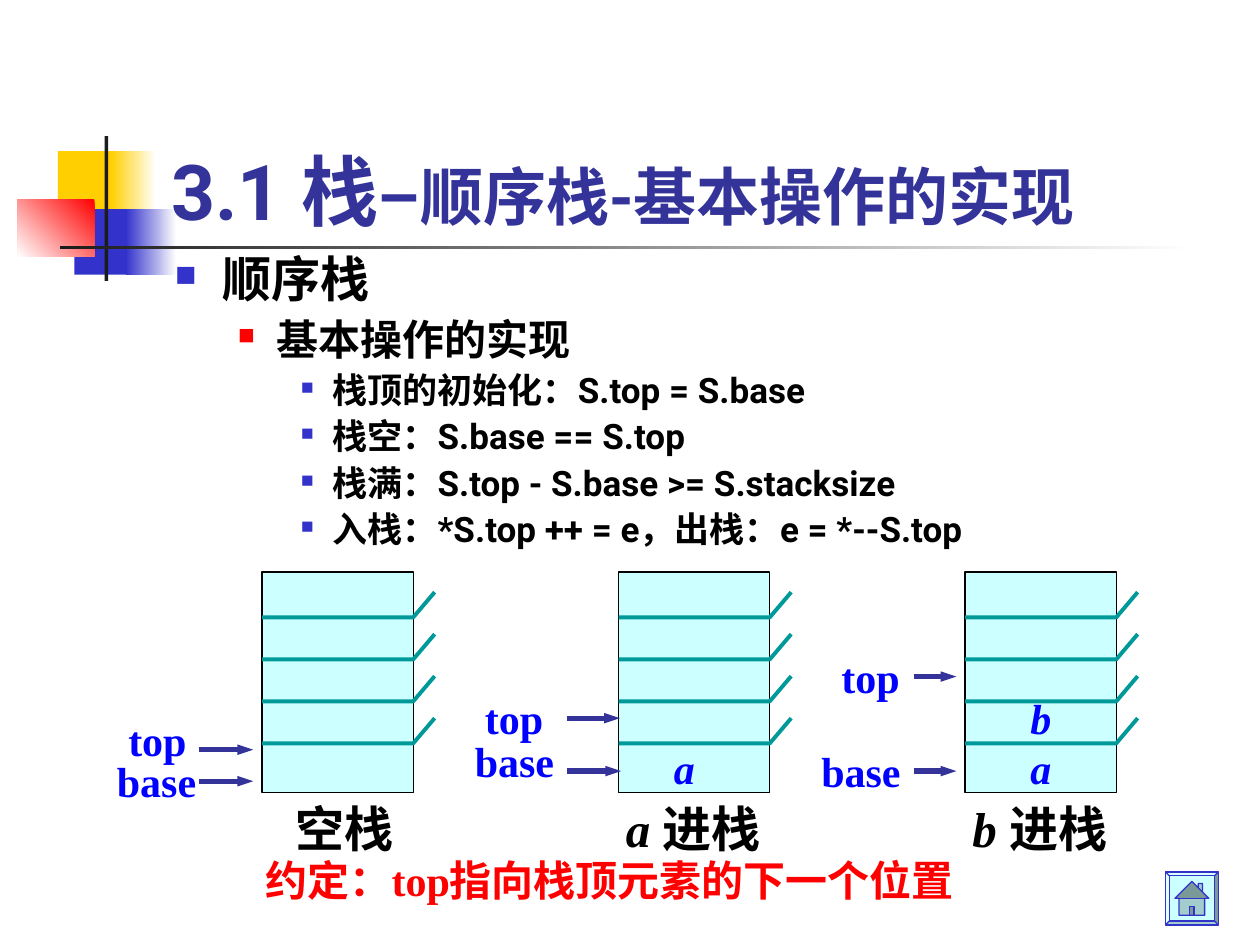
from collections import namedtuple

from lxml import etree
from pptx import Presentation
from pptx.dml.color import RGBColor
from pptx.enum import shapes, text
from pptx.oxml import ns
from pptx.util import Inches, Pt

SANS, SERIF = "Roboto", "Times New Roman"
BLACK, RED, NAVY, BLUE = "000000", "FF0000", "333399", "0000FF"
YELLOW, INDIGO, DARK, WHITE = "FFCF01", "3333CC", "1C1C1C", "FFFFFF"
CELL_FILL, CELL_LINE = "CCFFFF", "009999"

STACK_TOP, STACK_WIDTH, STACK_HEIGHT = 4.54, 1.2, 1.75
DIVIDER_TOP, DIVIDER_STEP, DIVIDERS = 4.9, 1 / 3, 4
TICK_WIDTH, TICK_HEIGHT = 0.17, 0.2

Run = namedtuple("Run", "words size color font italic", defaults=(BLACK, SERIF, False))
Block = namedtuple("Block", "left top width height color fade_from angle", defaults=("", 180))
Pointer = namedtuple("Pointer", "name left top arrow_start arrow_end arrow_y")
Element = namedtuple("Element", "name left top")
Stack = namedtuple("Stack", "left caption_left caption_width caption pointers elements")
Bullet = namedtuple("Bullet", "words level")
BulletStyle = namedtuple("BulletStyle", "size indent hanging before color percent")

BLOCKS = [
    Block(0.46, 1.2, 0.48, 0.52, YELLOW),
    Block(0.88, 1.2, 0.36, 0.52, YELLOW, WHITE),
    Block(0.59, 1.66, 0.46, 0.52, INDIGO),
    Block(1, 1.66, 0.4, 0.52, INDIGO, WHITE),
    Block(0.14, 1.58, 0.61, 0.46, WHITE, RED, 135),
    Block(0.83, 1.08, 0.03, 1.15, DARK),
    Block(0.48, 1.95, 9, 0.03, DARK, WHITE),
]
STACKS = [
    Stack(2.08, 2.25, 1, [Run("空栈", 28)],
          [Pointer("top", 0.92, 5.62, 1.58, 2.01, 5.95),
           Pointer("base", 0.83, 5.95, 1.58, 2.01, 6.2)], []),
    Stack(4.91, 4.87, 1.36, [Run("a ", 28, italic=True), Run("进栈", 28)],
          [Pointer("top", 3.75, 5.45, 4.5, 4.92, 5.7),
           Pointer("base", 3.67, 5.79, 4.5, 4.93, 6.12)],
          [Element("a", 5.25, 5.84)]),
    Stack(7.66, 7.62, 1.36, [Run("b ", 28, italic=True), Run("进栈", 28)],
          [Pointer("top", 6.58, 5.12, 7.25, 7.59, 5.37),
           Pointer("base", 6.42, 5.87, 7.25, 7.59, 6.12)],
          [Element("a", 8.08, 5.84), Element("b", 8.08, 5.45)]),
]
BULLETS = [
    Bullet("顺序栈", 0),
    Bullet("基本操作的实现", 1),
    Bullet("栈顶的初始化：S.top = S.base", 2),
    Bullet("栈空：S.base == S.top", 2),
    Bullet("栈满：S.top - S.base >= S.stacksize", 2),
    Bullet("入栈：*S.top ++ = e，出栈：e = *--S.top", 2),
]
BULLET_STYLES = [
    BulletStyle(28, 0.38, 0.38, 7, INDIGO, 60),
    BulletStyle(24, 0.81, 0.31, 6, RED, 55),
    BulletStyle(20, 1.25, 0.25, 5, INDIGO, 50),
]


def rgb(value: str) -> RGBColor:
    return RGBColor.from_string(value)


def add_run(paragraph, part: Run) -> None:
    run = paragraph.add_run()
    run.text = part.words
    font = run.font
    font.name, font.size, font.bold, font.italic = part.font, Pt(part.size), True, part.italic
    font.color.rgb = rgb(part.color)


def add_label(slide, left: float, top: float, width: float, height: float,
              runs: list[Run], wrap: bool = False):
    frame = slide.shapes.add_textbox(
        Inches(left), Inches(top), Inches(width), Inches(height)).text_frame
    frame.word_wrap = wrap
    if not wrap:
        frame.auto_size = text.MSO_AUTO_SIZE.SHAPE_TO_FIT_TEXT
    for part in runs:
        add_run(frame.paragraphs[0], part)
    return frame


def draw_block(slide, block: Block) -> None:
    shape = slide.shapes.add_shape(
        shapes.MSO_SHAPE.RECTANGLE, Inches(block.left), Inches(block.top),
        Inches(block.width), Inches(block.height))
    shape.shadow.inherit = False
    shape.line.fill.background()
    if block.fade_from:
        shape.fill.gradient()
        shape.fill.gradient_angle = 360 - block.angle
        for stop, color in zip(shape.fill.gradient_stops, (block.fade_from, block.color)):
            stop.color.rgb = rgb(color)
    else:
        shape.fill.solid()
        shape.fill.fore_color.rgb = rgb(block.color)


def add_outlined(parent, preset, left: float, top: float, width: float, height: float,
                 line: str):
    shape = parent.shapes.add_shape(
        preset, Inches(left), Inches(top), Inches(width), Inches(height))
    shape.shadow.inherit = False
    shape.fill.solid()
    shape.fill.fore_color.rgb = rgb(CELL_FILL)
    shape.line.color.rgb = rgb(line)
    shape.line.width = Pt(0.75)
    return shape


def draw_cells(slide, left: float) -> None:
    group = slide.shapes.add_group_shape()
    add_outlined(group, shapes.MSO_SHAPE.RECTANGLE, left, STACK_TOP,
                 STACK_WIDTH, STACK_HEIGHT, BLACK)
    right = left + STACK_WIDTH
    for row in range(DIVIDERS):
        y = DIVIDER_TOP + row * DIVIDER_STEP
        outline = group.shapes.build_freeform(Inches(left), Inches(y))
        outline.add_line_segments(
            [(Inches(right), Inches(y)),
             (Inches(right + TICK_WIDTH), Inches(y - TICK_HEIGHT))], close=False)
        divider = outline.convert_to_shape()
        divider.shadow.inherit = False
        divider.fill.background()
        divider.line.color.rgb = rgb(CELL_LINE)
        divider.line.width = Pt(2.25)


def draw_pointer(slide, pointer: Pointer) -> None:
    width = 0.83 if pointer.name == "base" else 0.66
    add_label(slide, pointer.left, pointer.top, width, 0.5, [Run(pointer.name, 24, BLUE)])
    y = Inches(pointer.arrow_y)
    arrow = slide.shapes.add_connector(
        shapes.MSO_CONNECTOR.STRAIGHT, Inches(pointer.arrow_start), y,
        Inches(pointer.arrow_end), y)
    arrow.line.color.rgb = rgb(NAVY)
    arrow.line.width = Pt(3)
    properties = arrow._element.spPr
    etree.SubElement(properties.find(ns.qn("a:ln")), ns.qn("a:tailEnd"),
                     type="triangle", w="sm", len="med")
    etree.SubElement(properties, ns.qn("a:effectLst"))


def draw_stack(slide, stack: Stack) -> None:
    draw_cells(slide, stack.left)
    add_label(slide, stack.caption_left, 6.29, stack.caption_width, 0.57, stack.caption)
    for pointer in stack.pointers:
        draw_pointer(slide, pointer)
    for element in stack.elements:
        add_label(slide, element.left, element.top, 0.38, 0.5,
                  [Run(element.name, 24, BLUE, italic=True)])


def format_bullet(paragraph, style: BulletStyle) -> None:
    paragraph.line_spacing = 0.9
    paragraph.space_before = Pt(style.before)
    props = paragraph._p.get_or_add_pPr()
    props.set("marL", str(Inches(style.indent)))
    props.set("indent", str(-Inches(style.hanging)))
    color = etree.SubElement(props, ns.qn("a:buClr"))
    etree.SubElement(color, ns.qn("a:srgbClr"), val=style.color)
    etree.SubElement(props, ns.qn("a:buSzPct"), val=str(style.percent * 1000))
    etree.SubElement(props, ns.qn("a:buChar"), char="■")


def draw_outline(slide) -> None:
    frame = add_label(slide, 1.29, 1.98, 8.5, 2.53, [], wrap=True)
    for index, bullet in enumerate(BULLETS):
        paragraph = frame.add_paragraph() if index else frame.paragraphs[0]
        paragraph.level = bullet.level
        style = BULLET_STYLES[bullet.level]
        format_bullet(paragraph, style)
        add_run(paragraph, Run(bullet.words, style.size, font=SANS))


def main() -> None:
    deck = Presentation()
    deck.slide_width, deck.slide_height = Inches(10), Inches(7.5)
    slide = deck.slides.add_slide(deck.slide_layouts[6])
    for block in BLOCKS:
        draw_block(slide, block)
    title = add_label(slide, 1.26, 0.67, 8.52, 1.25,
                      [Run("3.1 栈–", 44, NAVY, SANS),
                       Run("顺序栈-基本操作的实现", 36, NAVY, SANS)], wrap=True)
    title.vertical_anchor = text.MSO_ANCHOR.BOTTOM
    draw_outline(slide)
    for stack in STACKS:
        draw_stack(slide, stack)
    convention = add_label(slide, 2.01, 6.73, 6, 0.5,
                           [Run("约定：top指向栈顶元素的下一个位置", 24, RED)], wrap=True)
    convention.paragraphs[0].space_before = Pt(15)
    bevel = add_outlined(slide, shapes.MSO_SHAPE.BEVEL, 9.25, 6.92, 0.42, 0.42, INDIGO)
    bevel.adjustments[0] = 0.07
    add_outlined(slide, shapes.MSO_SHAPE.ACTION_BUTTON_HOME, 9.28, 6.95, 0.36, 0.36, INDIGO)
    deck.save("out.pptx")


if __name__ == "__main__":
    main()
